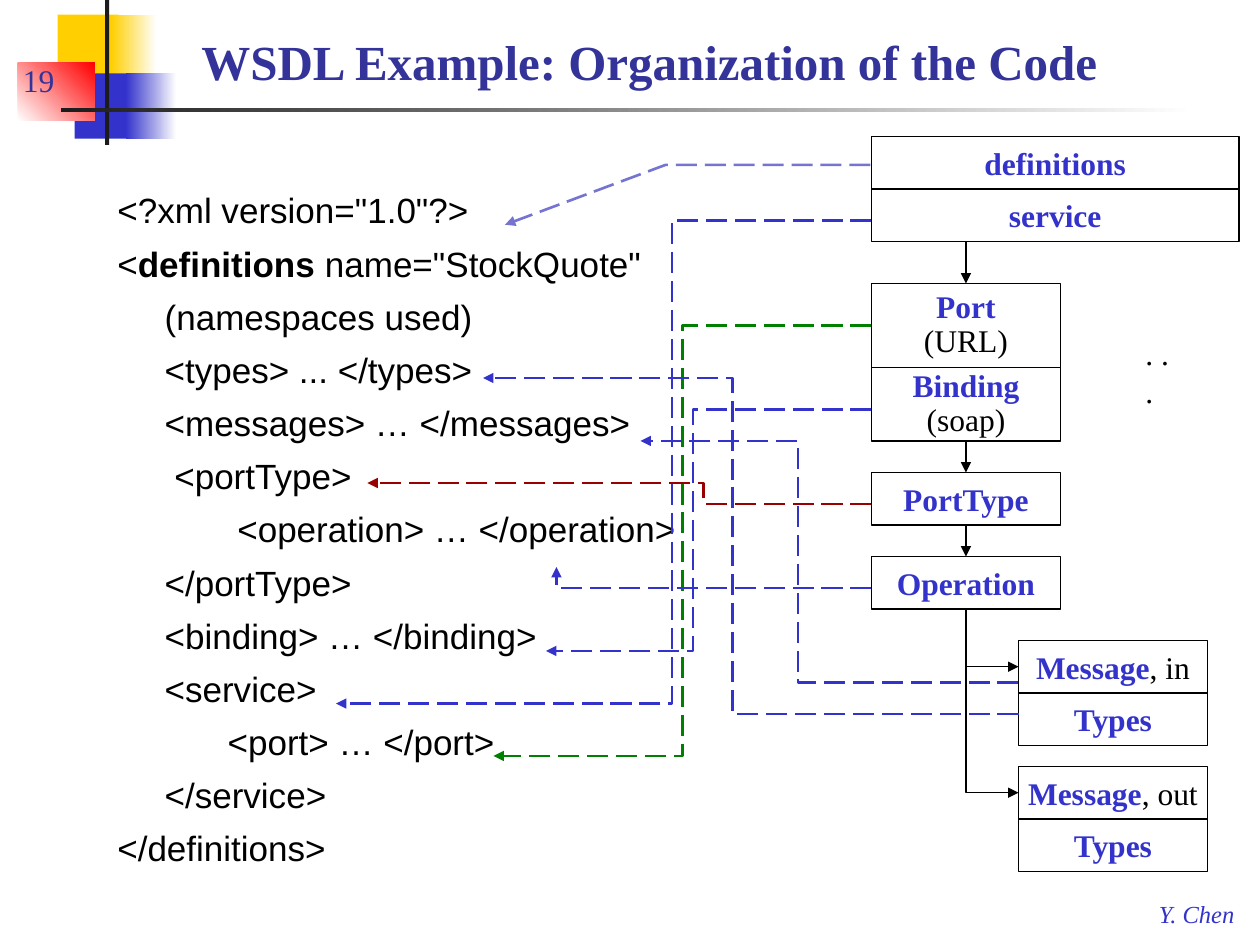
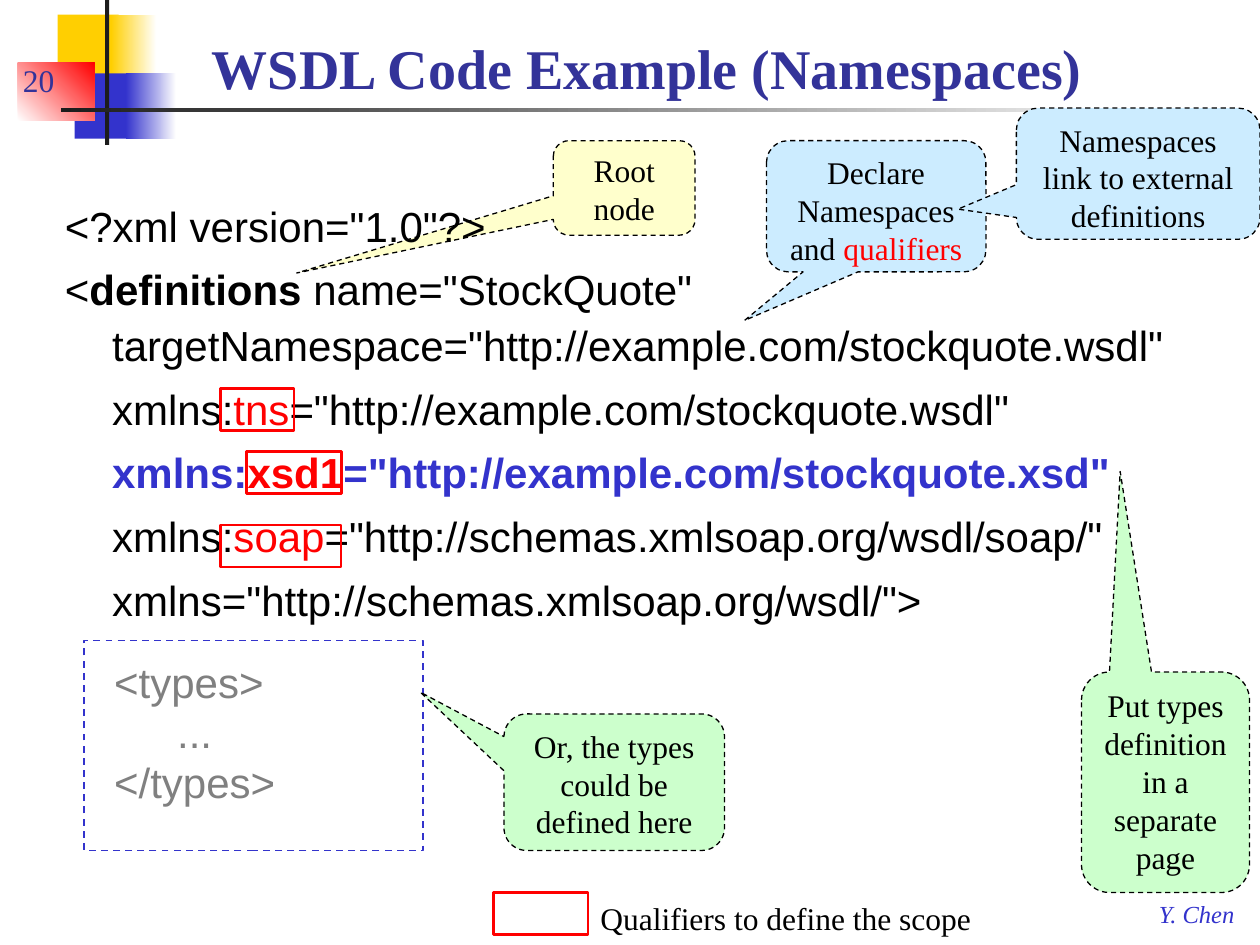
"""Build two WSDL slides: the organization of the code and its namespaces."""
from dataclasses import dataclass

from lxml import etree
from pptx import Presentation
from pptx.dml.color import RGBColor
from pptx.enum.dml import MSO_LINE
from pptx.enum.shapes import MSO_CONNECTOR, MSO_SHAPE
from pptx.enum.text import MSO_ANCHOR, PP_ALIGN
from pptx.oxml.ns import qn
from pptx.util import Inches, Pt

RECTANGLE, CALLOUT = MSO_SHAPE.RECTANGLE, MSO_SHAPE.ROUNDED_RECTANGULAR_CALLOUT
STRAIGHT, ELBOW = MSO_CONNECTOR.STRAIGHT, MSO_CONNECTOR.ELBOW
DASH, LONG_DASH = MSO_LINE.DASH, MSO_LINE.LONG_DASH
TOP, MIDDLE, BOTTOM = MSO_ANCHOR.TOP, MSO_ANCHOR.MIDDLE, MSO_ANCHOR.BOTTOM
LEFT, CENTER = PP_ALIGN.LEFT, PP_ALIGN.CENTER


@dataclass(frozen=True)
class Theme:
    """Colours, fonts and type sizes shared by the slides."""
    black: str = "000000"
    white: str = "FFFFFF"
    ink: str = "1C1C1C"
    gray: str = "808080"
    title: str = "333399"
    blue: str = "3333CC"
    pale_blue: str = "7575D1"
    red: str = "FF0000"
    dark_red: str = "990000"
    green: str = "008000"
    gold: str = "FFCF01"
    note_yellow: str = "FFFFCC"
    note_green: str = "CCFFCC"
    note_blue: str = "CCECFF"
    serif: str = "Times New Roman"
    sans: str = "Arial"
    label_size: int = 18
    footer_size: int = 14


THEME = Theme()
CELLS_PER_INCH = 12
SLIDE_COLUMNS, SLIDE_ROWS = 120, 90

FOOTER = "Y. Chen"
BANDS = [
    ((5.5, 1.4, 5.8, 6.2), (THEME.gold,), 0),
    ((10.6, 1.4, 4.3, 6.2), (THEME.gold, THEME.white), 0),
    ((7.1, 7, 5.5, 6.2), (THEME.blue,), 0),
    ((12, 7, 4.8, 6.2), (THEME.blue, THEME.white), 0),
    ((1.7, 6, 7.3, 5.5), (THEME.white, THEME.red), 45),
    ((10, 0, 0.4, 13.8), (THEME.ink,), 0),
    ((5.8, 10.3, 108, 0.4), (THEME.ink, THEME.white), 0),
]

ORGANIZATION = {
    "number": "19",
    "title": "WSDL Example: Organization of the Code",
    "title_box": (18, 1, 100, 8.2),
    "title_size": 28,
    "code_box": (10, 17, 66, 66),
    "code_size": 20,
    "code": [
        ['<?xml version="1.0"?>'],
        ["<", ("definitions", THEME.black, True), ' name="StockQuote"'],
        ["\t(namespaces used)"],
        ["\t<types> ... </types>"],
        ["\t<messages> … </messages>"],
        ["\t <portType>"],
        ["\t\t <operation> … </operation>"],
        ["\t</portType>"],
        ["\t<binding> … </binding>"],
        ["\t<service>"],
        ["\t\t<port> … </port>"],
        ["\t</service>"],
        ["</definitions>"],
    ],
}
ELEMENTS = [
    ("definitions", "", (83, 13, 35, 5)),
    ("service", "", (83, 18, 35, 5)),
    ("Port", "\n(URL)", (83, 27, 18, 8)),
    ("Binding", "\n(soap)", (83, 35, 18, 7)),
    ("PortType", "", (83, 45, 18, 5)),
    ("Operation", "", (83, 53, 18, 5)),
    ("Message", ", in", (97, 61, 18, 5)),
    ("Types", "", (97, 66, 18, 5)),
    ("Message", ", out", (97, 73, 18, 5)),
    ("Types", "", (97, 78, 18, 5)),
]
TRUNK_COLUMN = 92
TRUNK_ARROWS = [(23, 27), (42, 45), (50, 53)]
BRANCH_START, BRANCH_COLUMN, BRANCH_ROWS = 58, 97, (63.5, 75.5)
TRACES = [
    (THEME.blue, [(83, 21), (64, 21), (64, 67), (32, 67)]),
    (THEME.green, [(83, 31), (65, 31), (65, 72), (47, 72)]),
    (THEME.blue, [(83, 39), (66, 39), (66, 62), (52, 62)]),
    (THEME.dark_red, [(83, 48), (67, 48), (67, 46), (35, 46)]),
    (THEME.blue, [(83, 56), (53, 56), (53, 54)]),
    (THEME.blue, [(97, 68), (69.75, 68), (69.75, 36), (46, 36)]),
    (THEME.blue, [(97, 65), (76, 65), (76, 42), (61, 42)]),
    (THEME.pale_blue, [(82.9, 15.7), (63.4, 15.7), (48.1, 21.4)]),
]
ELLIPSIS = (". . .", (107.9, 31.2, 6.1, 4.8))

NAMESPACES = {
    "number": "20",
    "title": "WSDL Code Example (Namespaces)",
    "title_box": (19, 2, 100, 8.2),
    "title_size": 32,
    "code_box": (5, 18, 112.5, 43),
    "code_size": 24,
    "code": [
        ['<?xml version="1.0"?>'],
        ["<", ("definitions", THEME.black, True),
         ' name="StockQuote" targetNamespace="http://example.com/stockquote.wsdl"'],
        ["\txmlns:", ("tns", THEME.red, False), '="http://example.com/stockquote.wsdl"'],
        ["\t", ("xmlns:", THEME.blue, True), ("xsd1", THEME.red, True),
         ('="http://example.com/stockquote.xsd"', THEME.blue, True)],
        ["\txmlns:", ("soap", THEME.red, False), '="http://schemas.xmlsoap.org/wsdl/soap/"'],
        ['\txmlns="http://schemas.xmlsoap.org/wsdl/">'],
    ],
}
ROOT_NOTE = (["Root node"], (52.7, 13.4, 13.5, 9), THEME.note_yellow, (-2.31, 0.9))
NOTES = [
    (["Or, the types could be defined here"], (48, 68, 21, 13), THEME.note_green, (-0.88, -0.66)),
    (["Put types definition in a separate page"], (103, 64, 16, 21), THEME.note_green, (-0.27, -1.41)),
    (["Declare Namespaces and ", ("qualifiers", THEME.red, False)],
     (73, 13.4, 20.9, 12.5), THEME.note_blue, (-0.6, 0.87)),
    (["Namespaces link to external definitions"], (96.8, 10.3, 23.2, 12.5), THEME.note_blue, (-0.74, 0.27)),
]
TYPES_FRAME = (8, 61, 32.3, 20)
TYPES_BOX = (9.7, 61.9, 28.1, 15.7)
TYPES_CODE = [["<types>"], ["\t..."], ["</types>"]]
QUALIFIER_FRAMES = [(21, 37, 7, 4), (23.5, 43, 9, 4), (21, 50, 11.5, 4), (47, 85, 9, 4)]
LEGEND = ("Qualifiers to define the scope", (56, 85, 37.8, 4.8))


def grid(*cells):
    return [Inches(cell / CELLS_PER_INCH) for cell in cells]


def rgb(color):
    return RGBColor.from_string(color)


def write(shape, paragraphs, size, font=THEME.serif, color=THEME.black, bold=False, italic=False,
          align=LEFT, anchor=TOP, wrap=True, spacing=None, hanging=False):
    frame = shape.text_frame
    frame.word_wrap = wrap
    frame.vertical_anchor = anchor
    for index, runs in enumerate(paragraphs):
        paragraph = frame.add_paragraph() if index else frame.paragraphs[0]
        paragraph.alignment = align
        paragraph.font.name, paragraph.font.size = font, Pt(size)
        paragraph.font.bold, paragraph.font.italic = bold, italic
        if spacing:
            paragraph.line_spacing = spacing
        if hanging:
            paragraph.space_before = Pt(size * 0.2)
            properties = paragraph._p.get_or_add_pPr()
            properties.set("marL", str(Inches(0.375)))
            properties.set("indent", str(-Inches(0.375)))
        for part in runs:
            text, run_color, run_bold = (part, color, bold) if isinstance(part, str) else part
            run = paragraph.add_run()
            run.text = text
            run.font.color.rgb = rgb(run_color)
            if run_bold != bold:
                run.font.bold = run_bold


def add_text(slide, box, paragraphs, size, **style):
    write(slide.shapes.add_textbox(*grid(*box)), paragraphs, size, **style)


def set_line(line, color, width, dash=None):
    line.color.rgb = rgb(color)
    line.width = Pt(width)
    if dash:
        line.dash_style = dash


def add_box(slide, box, fill=None, line=None, width=0.75, dash=None, kind=RECTANGLE):
    shape = slide.shapes.add_shape(kind, *grid(*box))
    shape.shadow.inherit = False
    if fill:
        shape.fill.solid()
        shape.fill.fore_color.rgb = rgb(fill)
    else:
        shape.fill.background()
    if line:
        set_line(shape.line, line, width, dash)
    else:
        shape.line.fill.background()
    return shape


def add_band(slide, box, colors, angle):
    band = add_box(slide, box, colors[0])
    if len(colors) > 1:
        band.fill.gradient()
        band.fill.gradient_angle = angle
        for stop, color in zip(band.fill.gradient_stops, colors):
            stop.color.rgb = rgb(color)


def add_arrowhead(line):
    etree.SubElement(line._get_or_add_ln(), qn("a:tailEnd"), type="triangle")


def add_arrow(slide, kind, start, end):
    arrow = slide.shapes.add_connector(kind, *grid(*start, *end))
    set_line(arrow.line, THEME.black, 0.75)
    add_arrowhead(arrow.line)
    etree.SubElement(arrow._element.spPr, qn("a:effectLst"))
    return arrow


def add_branch(slide, start, end):
    middle_x, middle_y = (start[0] + end[0]) / 2, (start[1] + end[1]) / 2
    half_run, half_drop = (end[0] - start[0]) / 2, (end[1] - start[1]) / 2
    branch = add_arrow(slide, ELBOW, (middle_x - half_drop, middle_y - half_run),
                       (middle_x + half_drop, middle_y + half_run))
    properties = branch._element.spPr
    properties.find(qn("a:prstGeom")).set("prst", "bentConnector2")
    transform = properties.find(qn("a:xfrm"))
    transform.set("rot", str(270 * 60000))
    transform.set("flipH", "1")


def add_trace(slide, color, points):
    start, *others = [grid(*point) for point in points]
    builder = slide.shapes.build_freeform(*start)
    builder.add_line_segments(others, close=False)
    trace = builder.convert_to_shape()
    trace.shadow.inherit = False
    trace.fill.background()
    set_line(trace.line, color, 1.5, LONG_DASH)
    add_arrowhead(trace.line)


def add_note(slide, runs, box, fill, pointer):
    note = add_box(slide, box, fill, THEME.black, dash=DASH, kind=CALLOUT)
    note.adjustments[0], note.adjustments[1] = pointer
    write(note, [runs], THEME.label_size, align=CENTER)


def add_base(presentation, content, back_notes=()):
    slide = presentation.slides.add_slide(presentation.slide_layouts[6])
    for band in BANDS:
        add_band(slide, *band)
    add_text(slide, (109.2, 85, 9.8, 4), [[FOOTER]], THEME.footer_size,
             color=THEME.blue, italic=True, wrap=False)
    for note in back_notes:
        add_note(slide, *note)
    add_text(slide, (1, 4, 8, 6), [[content["number"]]], THEME.label_size,
             color=THEME.title, anchor=BOTTOM)
    add_text(slide, content["title_box"], [[content["title"]]], content["title_size"],
             color=THEME.title, bold=True, anchor=BOTTOM)
    add_text(slide, content["code_box"], content["code"], content["code_size"],
             font=THEME.sans, spacing=1.1, hanging=True)
    return slide


def build_organization(presentation):
    slide = add_base(presentation, ORGANIZATION)
    for name, detail, box in ELEMENTS:
        same_line, *next_line = detail.split("\n")
        runs = [(name, THEME.blue, True)] + ([same_line] if same_line else [])
        paragraphs = [runs] + [[text] for text in next_line]
        write(add_box(slide, box, THEME.white, THEME.black), paragraphs, THEME.label_size,
              align=CENTER, anchor=MIDDLE, wrap=False, spacing=0.9 if next_line else None)
    text, box = ELLIPSIS
    add_text(slide, box, [[text]], THEME.label_size, wrap=False)
    for top, bottom in TRUNK_ARROWS:
        add_arrow(slide, STRAIGHT, (TRUNK_COLUMN, top), (TRUNK_COLUMN, bottom))
    for row in BRANCH_ROWS:
        add_branch(slide, (TRUNK_COLUMN, BRANCH_START), (BRANCH_COLUMN, row))
    for color, points in TRACES:
        add_trace(slide, color, points)


def build_namespaces(presentation):
    slide = add_base(presentation, NAMESPACES, [ROOT_NOTE])
    add_box(slide, TYPES_FRAME, line=THEME.blue, width=1, dash=DASH)
    add_text(slide, TYPES_BOX, TYPES_CODE, NAMESPACES["code_size"], font=THEME.sans, color=THEME.gray)
    for note in NOTES:
        add_note(slide, *note)
    for frame in QUALIFIER_FRAMES:
        add_box(slide, frame, line=THEME.red, width=1.5)
    text, box = LEGEND
    add_text(slide, box, [[text]], THEME.label_size, wrap=False)


def main():
    presentation = Presentation()
    presentation.slide_width, presentation.slide_height = grid(SLIDE_COLUMNS, SLIDE_ROWS)
    build_organization(presentation)
    build_namespaces(presentation)
    presentation.save("out.pptx")


if __name__ == "__main__":
    main()
